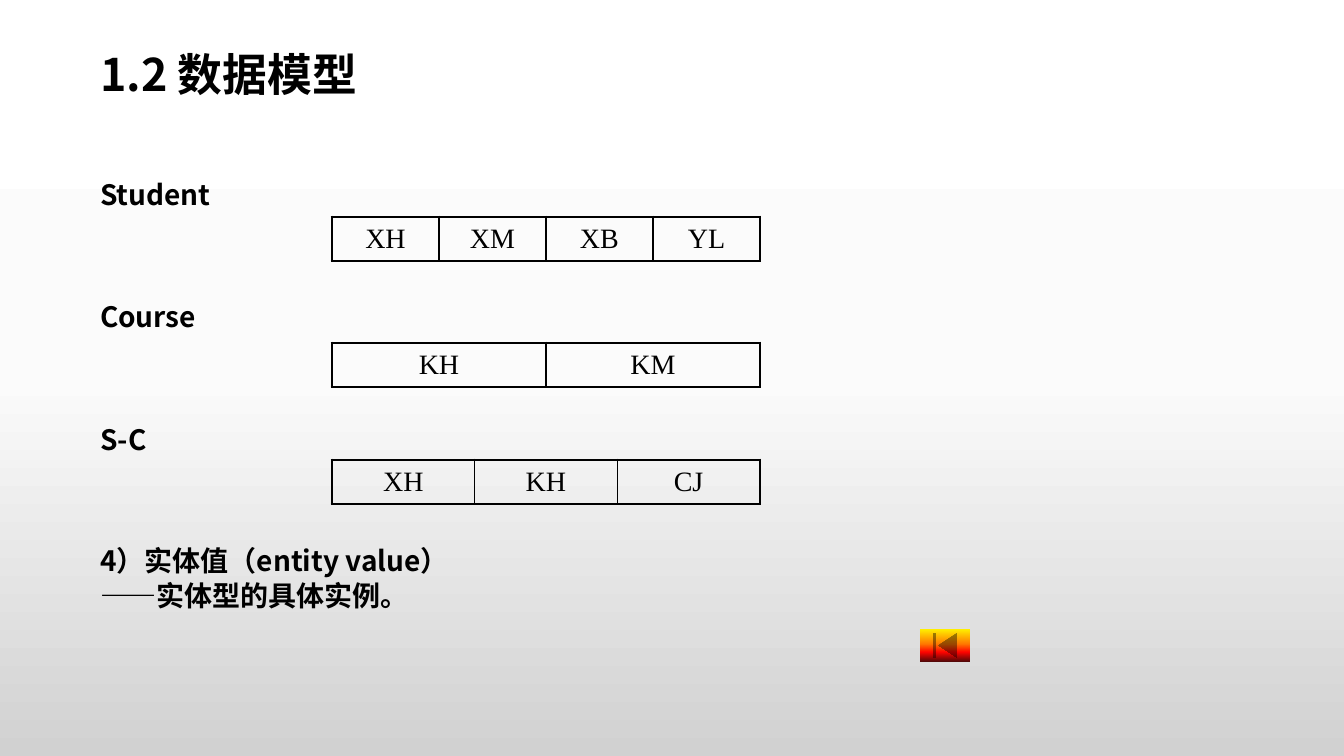
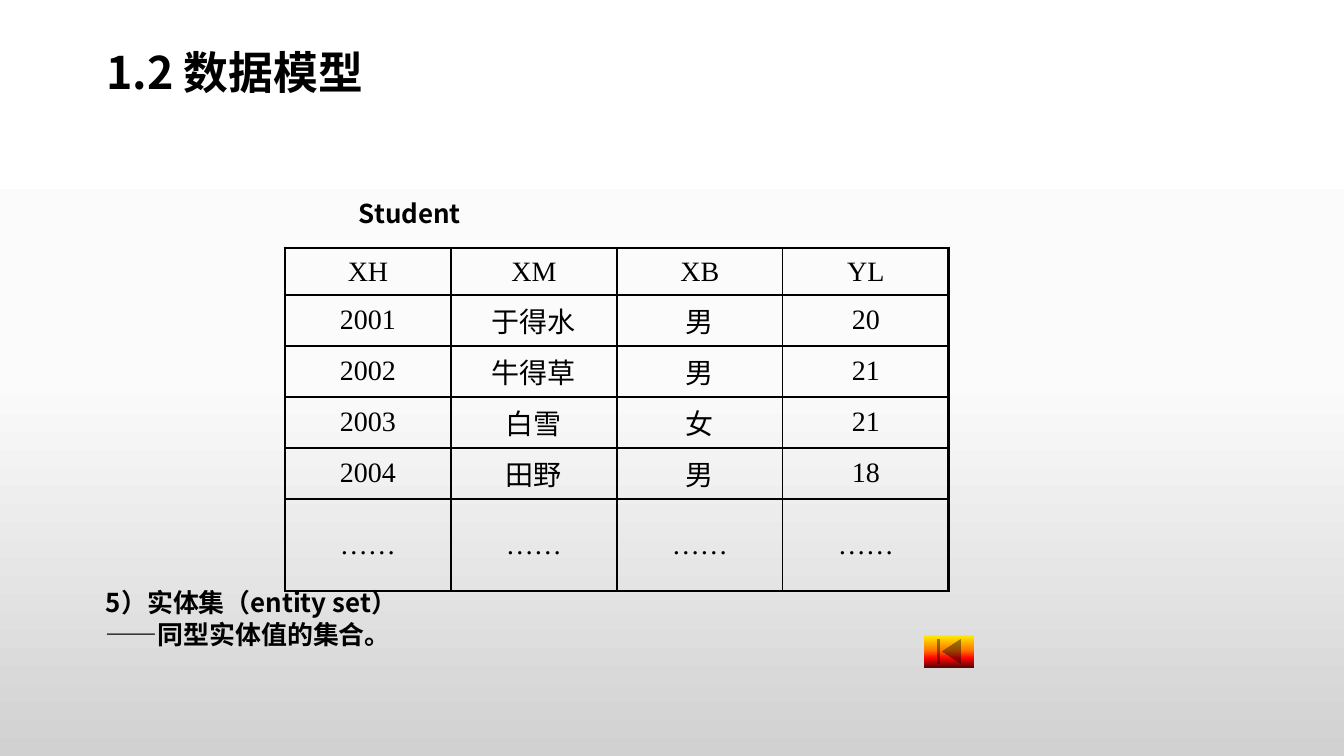
from lxml import etree
from pptx import Presentation
from pptx import util as u
from pptx.dml.color import RGBColor
from pptx.enum import shapes, text
from pptx.oxml import ns

SCALE = 914400 / 100.8
SLIDE_W, SLIDE_H = 1344, 756
SANS, SERIF = "Noto Sans CJK SC", "Times New Roman"
BLACK = RGBColor(0x00, 0x00, 0x00)
BACKDROP = [
    (0, RGBColor(0xFF, 0xFF, 0xFF)),
    (50, RGBColor(0xFB, 0xFB, 0xFB)),
    (100, RGBColor(0xD1, 0xD1, 0xD1)),
]
FLAME = [
    (0, RGBColor(0xFF, 0xF2, 0x00)),
    (45, RGBColor(0xFF, 0x7A, 0x00)),
    (70, RGBColor(0xFF, 0x03, 0x00)),
    (100, RGBColor(0x4D, 0x08, 0x08)),
]
THIN, THICK = 1, 2.25

TITLE = "1.2 数据模型"
SLIDES = [
    {
        "title_at": (90, 45),
        "button_at": (920, 629),
        "size": 20,
        "notes": [
            (100, 177, ["Student"]),
            (100, 299, ["Course"]),
            (100, 422, ["S-C"]),
            (100, 544, ["4）实体值（entity value）", "——实体型的具体实例。"]),
        ],
        "tables": [
            {"at": (332, 217), "width": 428, "heights": [44], "thick_left": 1,
             "rows": [["XH", "XM", "XB", "YL"]]},
            {"at": (332, 343), "width": 428, "heights": [44], "thick_left": 1,
             "rows": [["KH", "KM"]]},
            {"at": (332, 460), "width": 428, "heights": [44], "thick_left": 1,
             "rows": [["XH", "KH", "CJ"]]},
        ],
    },
    {
        "title_at": (96, 43),
        "button_at": (924, 635),
        "size": 18.5,
        "notes": [
            (359, 198, ["Student"]),
            (106, 587, ["5）实体集（entity set）", "——同型实体值的集合。"]),
        ],
        "tables": [
            {"at": (285, 248), "width": 664, "heights": [47] + [51] * 4 + [92],
             "thick_left": 3,
             "rows": [
                 ["XH", "XM", "XB", "YL"],
                 ["2001", "于得水", "男", "20"],
                 ["2002", "牛得草", "男", "21"],
                 ["2003", "白雪", "女", "21"],
                 ["2004", "田野", "男", "18"],
                 ["……"] * 4,
             ]},
        ],
    },
]


def px(n):
    return u.Emu(round(n * SCALE))


def write(tf, lines, size=20, font=SANS, bold=False, align=text.PP_ALIGN.LEFT,
          anchor=text.MSO_ANCHOR.TOP, spacing=None, before=0):
    tf.word_wrap = True
    tf.vertical_anchor = anchor
    for i, line in enumerate(lines):
        p = tf.add_paragraph() if i else tf.paragraphs[0]
        p.alignment = align
        p.line_spacing = spacing
        p.space_before = u.Pt(before)
        r = p.add_run()
        r.text = line
        r.font.size = u.Pt(size)
        r.font.bold = bold
        r.font.color.rgb = BLACK
        r.font.name = font
        etree.SubElement(r.font._element, ns.qn("a:ea"), typeface=SANS)


def paint_gradient(fill, owner, stops):
    fill.gradient()
    fill.gradient_angle = 270
    stop_list = owner.find(".//" + ns.qn("a:gsLst"))
    for old in list(stop_list):
        stop_list.remove(old)
    for percent, color in stops:
        stop = etree.SubElement(stop_list, ns.qn("a:gs"), pos=str(percent * 1000))
        etree.SubElement(stop, ns.qn("a:srgbClr"), val=str(color))


def set_borders(cell, **widths):
    tc_pr = cell._tc.get_or_add_tcPr()
    for i, side in enumerate("LRTB"):
        ln = etree.Element(ns.qn("a:ln" + side), w=str(u.Pt(widths[side])))
        fill = etree.SubElement(ln, ns.qn("a:solidFill"))
        etree.SubElement(fill, ns.qn("a:srgbClr"), val=str(BLACK))
        tc_pr.insert(i, ln)


def add_grid(s, at, width, heights, rows, thick_left):
    n_rows, n_cols = len(rows), len(rows[0])
    frame = s.shapes.add_table(n_rows, n_cols, px(at[0]), px(at[1]),
                               px(width), px(sum(heights)))
    table = frame.table
    table.first_row = table.horz_banding = False
    for column in table.columns:
        column.width = px(width / n_cols)
    for i, (height, row) in enumerate(zip(heights, rows)):
        table.rows[i].height = px(height)
        for j, value in enumerate(row):
            cell = table.cell(i, j)
            cell.fill.background()
            cell.vertical_anchor = text.MSO_ANCHOR.MIDDLE
            write(cell.text_frame, [value], font=SERIF, align=text.PP_ALIGN.CENTER,
                  anchor=None)
            set_borders(
                cell,
                L=THICK if j == 0 and i < thick_left else THIN,
                R=THICK if j == n_cols - 1 else THIN,
                T=THICK if i == 0 else THIN,
                B=THICK if i == n_rows - 1 else THIN,
            )


def add_title(s, at):
    sp = s.shapes.title
    sp.left, sp.top, sp.width, sp.height = map(px, (*at, 857, 64))
    write(sp.text_frame, [TITLE], size=32, bold=True,
          anchor=text.MSO_ANCHOR.MIDDLE, spacing=0.9)


def add_note(s, left, top, lines, size):
    sp = s.shapes.add_textbox(px(left), px(top), px(600), px(41 * len(lines)))
    tf = sp.text_frame
    tf.margin_left = tf.margin_right = tf.margin_top = tf.margin_bottom = 0
    write(tf, lines, size=size, bold=True, before=0.5)


def add_button(s, at):
    sp = s.shapes.add_shape(shapes.MSO_SHAPE.ACTION_BUTTON_BEGINNING,
                            *map(px, (*at, 50, 33)))
    sp.shadow.inherit = False
    sp.line.fill.background()
    paint_gradient(sp.fill, sp._element, FLAME)


def main():
    prs = Presentation()
    prs.slide_width, prs.slide_height = px(SLIDE_W), px(SLIDE_H)
    master = prs.slide_master
    paint_gradient(master.background.fill, master._element, BACKDROP)
    for content in SLIDES:
        s = prs.slides.add_slide(prs.slide_layouts.get_by_name("Title Only"))
        add_title(s, content["title_at"])
        for left, top, lines in content["notes"]:
            add_note(s, left, top, lines, content["size"])
        add_button(s, content["button_at"])
        for grid in content["tables"]:
            add_grid(s, **grid)
    prs.save("out.pptx")


if __name__ == "__main__":
    main()
